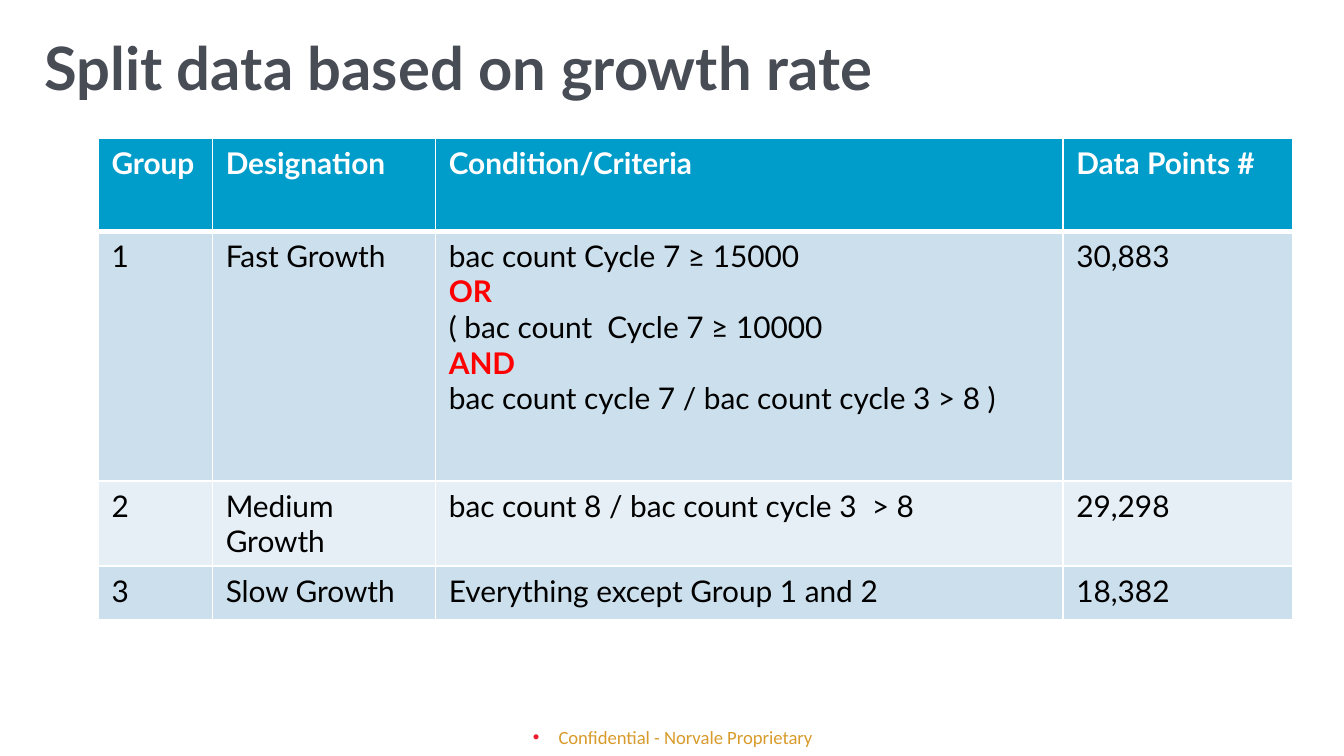
import dataclasses
import pptx
import pptx.dml.color
import pptx.enum.text
import pptx.oxml
import pptx.oxml.ns
import pptx.util


@dataclasses.dataclass
class Theme:
    face: str = "Lato"
    foot: str = "Calibri"
    slate: str = "474C55"
    gold: str = "D89B2B"
    dot: str = "EA1C2C"
    white: str = "FFFFFF"
    black: str = "000000"
    red: str = "FF0000"
    head: str = "009DCB"
    bands: tuple = ("CCDFEC", "E7EFF6")
    title: int = 32
    body: int = 16
    small: int = 10
    thin: int = 1
    thick: int = 3


def color(code):
    return pptx.dml.color.RGBColor.from_string(code)


def element(tag, attrs, inner):
    space = pptx.oxml.ns.nsdecls("a")
    return pptx.oxml.parse_xml(f"<a:{tag} {space} {attrs}>{inner}</a:{tag}>")


def solid(code):
    return f'<a:solidFill><a:srgbClr val="{code}"/></a:solidFill>'


class Deck:
    COLS, ROWS = 100, 56.25

    def __init__(self, theme):
        self.theme = theme
        self.show = pptx.Presentation()
        self.show.slide_width = pptx.util.Inches(10)
        self.show.slide_height = self.show.slide_width * 9 // 16
        self.slide = self.show.slides.add_slide(self.show.slide_layouts[6])

    def col(self, count):
        return round(self.show.slide_width * count / self.COLS)

    def row(self, count):
        return round(self.show.slide_height * count / self.ROWS)

    def place(self, left, top, width, height):
        return self.col(left), self.row(top), self.col(width), self.row(height)

    def run(self, para, text, size, code, bold=False, face=None):
        run = para.add_run()
        run.text = text
        run.font.name = face or self.theme.face
        run.font.size = pptx.util.Pt(size)
        run.font.bold = bold
        run.font.color.rgb = color(code)

    def box(self, *spot):
        frame = self.slide.shapes.add_textbox(*self.place(*spot)).text_frame
        frame.word_wrap = True
        return frame

    def title(self, text, *spot):
        para = self.box(*spot).paragraphs[0]
        para.line_spacing = 0.9
        self.run(para, text, self.theme.title, self.theme.slate, True)

    def footer(self, text, *spot):
        frame = self.box(*spot)
        frame.margin_left = frame.margin_right = 0
        frame.margin_top = frame.margin_bottom = 0
        frame.vertical_anchor = pptx.enum.text.MSO_ANCHOR.MIDDLE
        para = frame.paragraphs[0]
        para.alignment = pptx.enum.text.PP_ALIGN.CENTER
        props = para._p.get_or_add_pPr()
        indent = self.col(1.9)
        props.set("marL", str(indent))
        props.set("indent", str(-indent))
        props.append(element("buClr", "", f'<a:srgbClr val="{self.theme.dot}"/>'))
        props.append(element("buFont", 'typeface="Arial"', ""))
        props.append(element("buChar", 'char="•"', ""))
        self.run(para, text, self.theme.small, self.theme.gold, face=self.theme.foot)

    def edges(self, cell, top, bottom):
        thin = self.theme.thin
        props = cell._tc.get_or_add_tcPr()
        sides = {"lnL": thin, "lnR": thin, "lnT": top, "lnB": bottom}
        for place, (tag, width) in enumerate(sides.items()):
            attrs = f'w="{pptx.util.Pt(width)}"'
            props.insert(place, element(tag, attrs, solid(self.theme.white)))

    def cell(self, cell, lines, level):
        theme = self.theme
        head = level == 0
        cell.fill.solid()
        cell.fill.fore_color.rgb = color(theme.head if head else theme.bands[(level - 1) % 2])
        self.edges(cell, theme.thick if level == 1 else theme.thin,
                   theme.thick if head else theme.thin)
        for count, line in enumerate(lines.split("\n")):
            frame = cell.text_frame
            para = frame.add_paragraph() if count else frame.paragraphs[0]
            logic = line in ("AND", "OR")
            code = theme.white if head else theme.red if logic else theme.black
            self.run(para, line, theme.body, code, head or logic)

    def table(self, data, left, top, widths, heights):
        spot = self.place(left, top, sum(widths), sum(heights))
        grid = self.slide.shapes.add_table(len(heights), len(widths), *spot).table
        for column, width in zip(grid.columns, widths):
            column.width = self.col(width)
        for level, (line, height) in enumerate(zip(data, heights)):
            grid.rows[level].height = self.row(height)
            for place, text in enumerate(line):
                self.cell(grid.cell(level, place), text, level)


FAST = """bac count Cycle 7 ≥ 15000
OR
( bac count  Cycle 7 ≥ 10000
AND
bac count cycle 7 / bac count cycle 3 > 8 )"""

GROUPS = [
    ("Group", "Designation", "Condition/Criteria", "Data Points #"),
    ("1", "Fast Growth", FAST, "30,883"),
    ("2", "Medium Growth", "bac count 8 / bac count cycle 3  > 8", "29,298"),
    ("3", "Slow Growth", "Everything except Group 1 and 2", "18,382"),
]


def main():
    deck = Deck(Theme())
    deck.footer("Confidential - Norvale Proprietary", 38.6, 53.4, 22.9, 2.9)
    deck.title("Split data based on growth rate", 2.3, 2.4, 93.9, 6.5)
    deck.table(GROUPS, 7.3, 10.3, (8.5, 16.6, 46.7, 17.1), (6.9, 18.6, 5.3, 4))
    deck.show.save("out.pptx")


if __name__ == "__main__":
    main()
